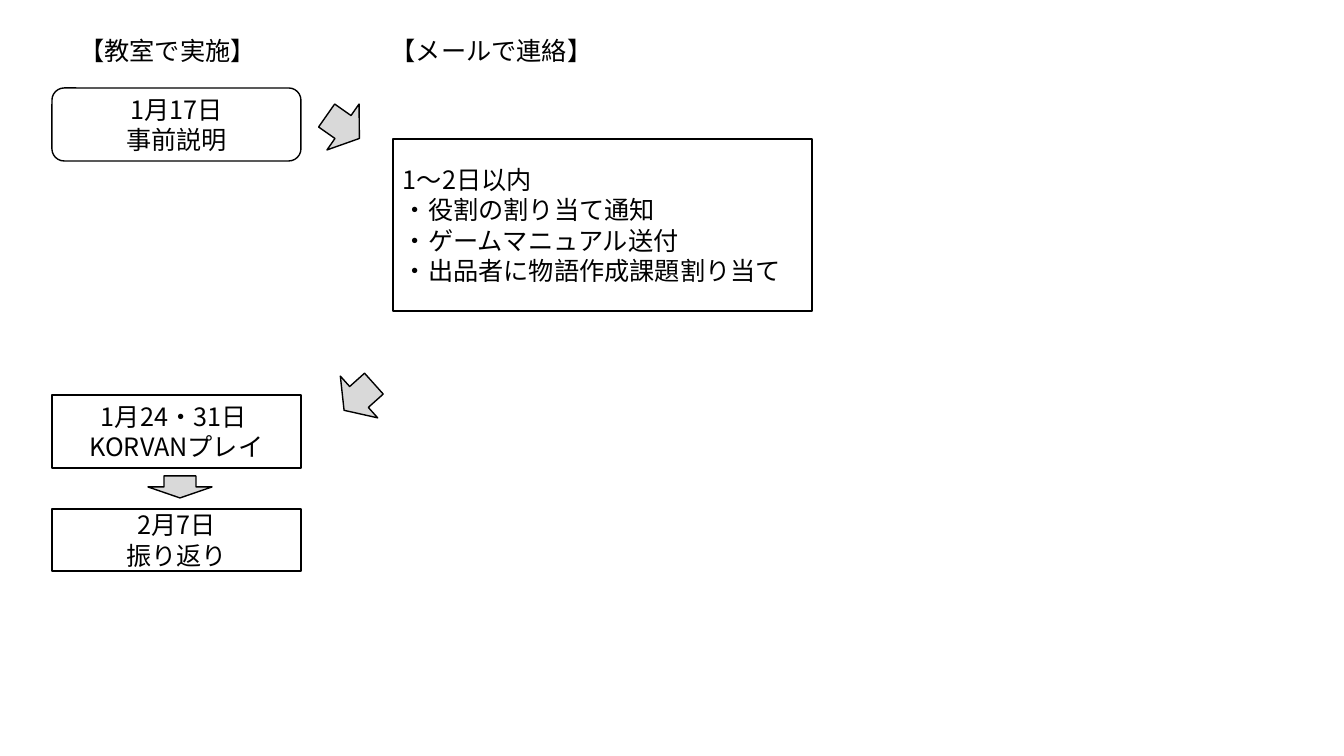
import pptx
import pptx.util
import pptx.oxml
import pptx.oxml.ns
import pptx.dml.color
import pptx.enum.shapes
import pptx.enum.text

SLIDE_WIDTH, SLIDE_HEIGHT = 1344, 756
SCALE = 12192000 / SLIDE_WIDTH
FONT = "Noto Sans CJK JP"
COLORS = {"ink": "000000", "arrow": "D9D9D9"}
SHAPE = pptx.enum.shapes.MSO_SHAPE
ALIGN = pptx.enum.text.PP_ALIGN

LEFT_COLUMN, STEP_WIDTH = 52, 249
HEADING_TOP, HEADING_WIDTH, HEADING_HEIGHT = 28, 231, 45


def px(length):
    return pptx.util.Emu(round(length * SCALE))


def color(name):
    return pptx.dml.color.RGBColor.from_string(COLORS[name])


def write_text(frame, text, size=18, ink="ink", align=ALIGN.CENTER, spacing=21.7):
    frame.word_wrap = True
    frame.vertical_anchor = pptx.enum.text.MSO_ANCHOR.MIDDLE
    for index, line in enumerate(text.split("\n")):
        paragraph = frame.add_paragraph() if index else frame.paragraphs[0]
        paragraph.alignment = align
        paragraph.line_spacing = pptx.util.Pt(spacing)
        run = paragraph.add_run()
        run.text = line
        run.font.size = pptx.util.Pt(size)
        run.font.name = FONT
        run.font.color.rgb = color(ink)
        east_asian = pptx.oxml.parse_xml(
            f'<a:ea {pptx.oxml.ns.nsdecls("a")} typeface="{FONT}"/>')
        run.font._element.find(pptx.oxml.ns.qn("a:latin")).addnext(east_asian)


def add_figure(slide, kind, box, fill=None, line="ink"):
    figure = slide.shapes.add_shape(kind, *map(px, box))
    figure.shadow.inherit = False
    if fill:
        figure.fill.solid()
        figure.fill.fore_color.rgb = color(fill)
    else:
        figure.fill.background()
    if line:
        figure.line.color.rgb = color(line)
        figure.line.width = pptx.util.Pt(1)
    else:
        figure.line.fill.background()
    return figure


def add_heading(slide, left, text):
    box = (left, HEADING_TOP, HEADING_WIDTH, HEADING_HEIGHT)
    heading = add_figure(slide, SHAPE.ROUNDED_RECTANGLE, box, line=None)
    write_text(heading.text_frame, text)


def add_step(slide, box, text, kind=SHAPE.RECTANGLE, align=ALIGN.CENTER):
    step = add_figure(slide, kind, box)
    write_text(step.text_frame, text, align=align)


def add_arrow(slide, box, rotation=0):
    arrow = add_figure(slide, SHAPE.DOWN_ARROW, box, fill="arrow")
    arrow.rotation = rotation


def main():
    deck = pptx.Presentation()
    deck.slide_width, deck.slide_height = px(SLIDE_WIDTH), px(SLIDE_HEIGHT)
    slide = deck.slides.add_slide(deck.slide_layouts[6])

    add_step(slide, (LEFT_COLUMN, 88, STEP_WIDTH, 73), "1月17日\n事前説明",
             kind=SHAPE.ROUNDED_RECTANGLE)
    add_step(slide, (393, 139, 419, 172),
             "1～2日以内\n・役割の割り当て通知\n・ゲームマニュアル送付\n"
             "・出品者に物語作成課題割り当て", align=ALIGN.LEFT)
    add_step(slide, (LEFT_COLUMN, 395, STEP_WIDTH, 73), "1月24・31日 \nKORVANプレイ")
    add_step(slide, (LEFT_COLUMN, 509, STEP_WIDTH, 62), "2月7日\n振り返り")

    add_arrow(slide, (315, 107, 56, 40), rotation=305)
    add_arrow(slide, (148, 476, 64, 22))
    add_arrow(slide, (331, 377, 56, 40), rotation=48.2)

    add_heading(slide, LEFT_COLUMN, "【教室で実施】")
    add_heading(slide, 376, "【メールで連絡】")

    deck.save("out.pptx")


main()
